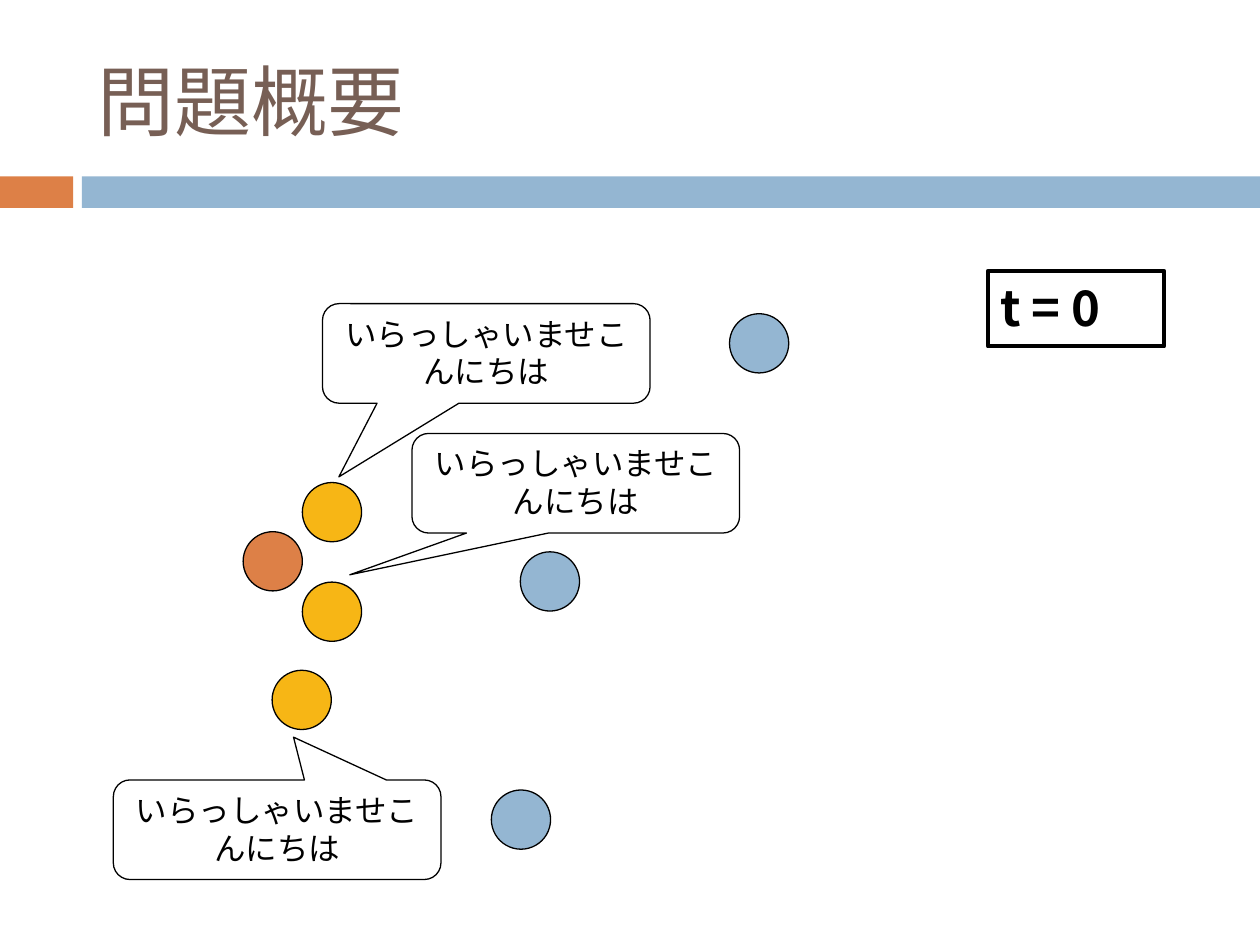
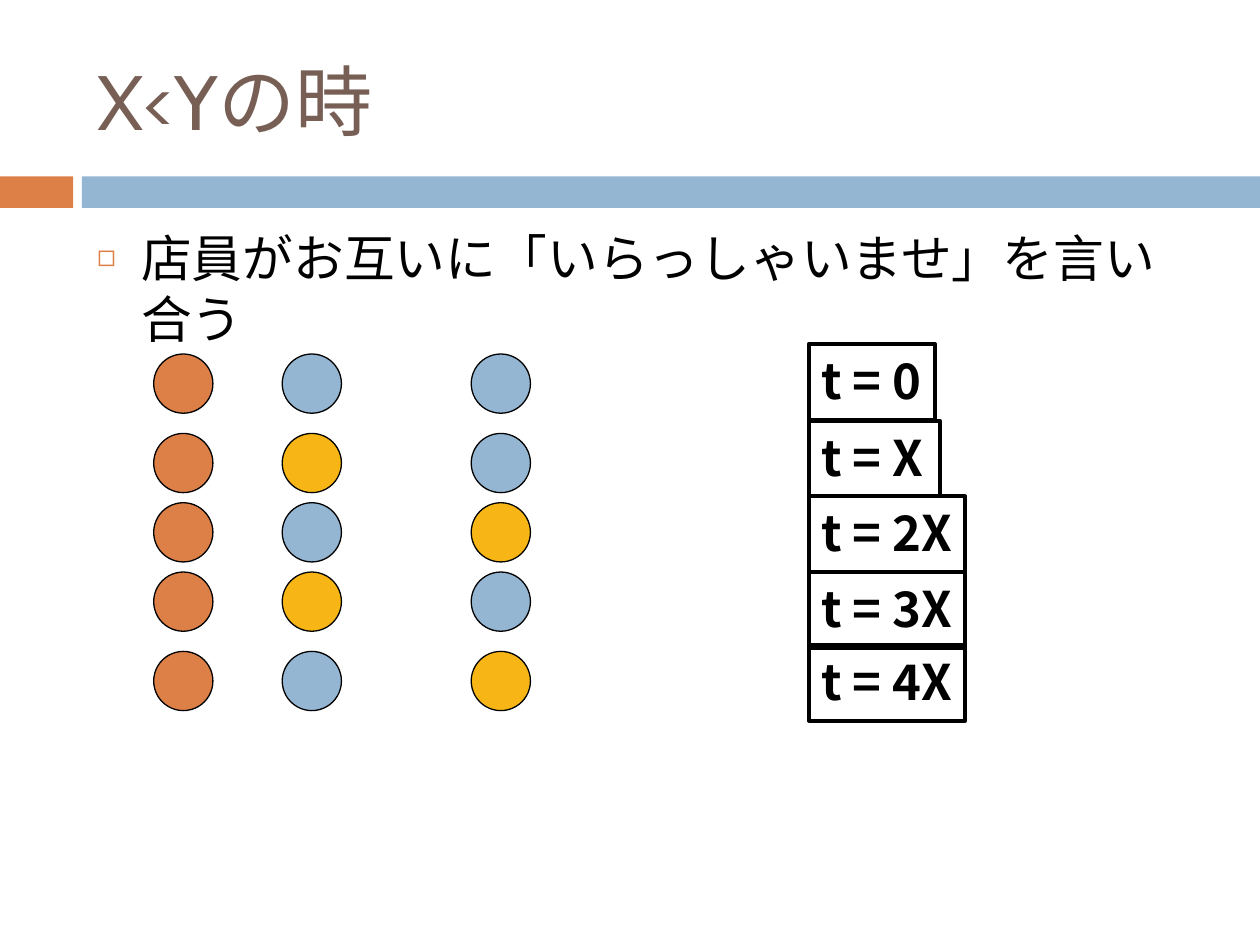
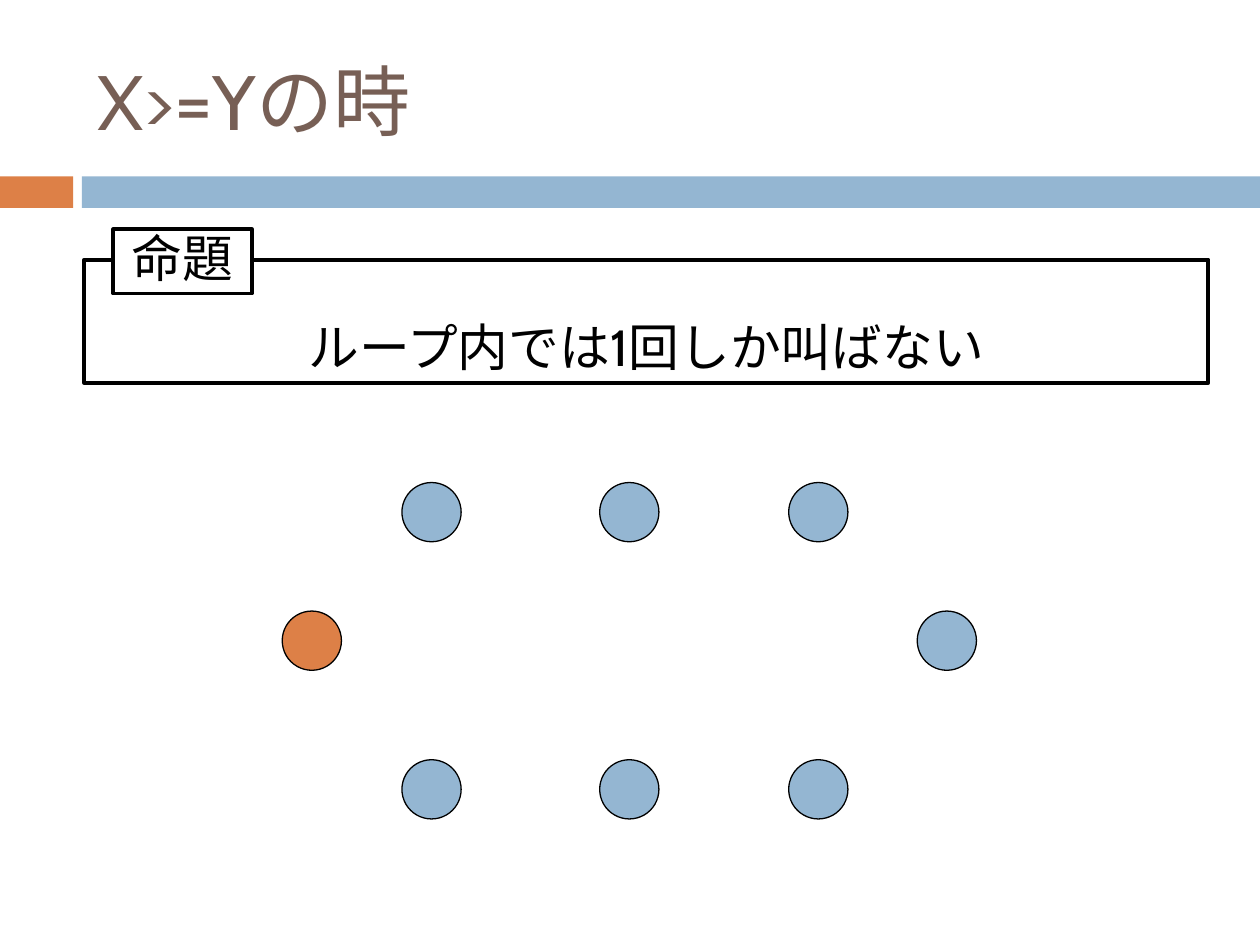
from dataclasses import dataclass

from lxml import etree
from pptx import Presentation
from pptx.dml.color import RGBColor
from pptx.enum.shapes import MSO_SHAPE
from pptx.enum.text import MSO_ANCHOR, MSO_AUTO_SIZE, PP_ALIGN
from pptx.oxml.ns import qn
from pptx.util import Inches, Pt

RECT, CIRCLE = MSO_SHAPE.RECTANGLE, MSO_SHAPE.OVAL
CALLOUT = MSO_SHAPE.ROUNDED_RECTANGULAR_CALLOUT
TOP, MIDDLE, BOTTOM = MSO_ANCHOR.TOP, MSO_ANCHOR.MIDDLE, MSO_ANCHOR.BOTTOM
LEFT, CENTER = PP_ALIGN.LEFT, PP_ALIGN.CENTER
GROW = MSO_AUTO_SIZE.SHAPE_TO_FIT_TEXT
TITLE_AND_BODY, TITLE_ONLY = 1, 5


@dataclass(frozen=True)
class Theme:
    """Colours, fonts, type sizes and line widths of the deck."""
    orange: str = "DD8047"
    blue: str = "94B6D2"
    yellow: str = "F7B615"
    brown: str = "775F55"
    black: str = "000000"
    white: str = "FFFFFF"
    heading_font: str = "Cabin"
    speech_font: str = "Arial"
    japanese_font: str = "Noto Sans CJK JP"
    title_size: int = 44
    body_size: int = 29
    clock_size: int = 28
    speech_size: int = 18
    space_before: int = 7
    thin: float = 0.75
    thick: float = 2.25


THEME = Theme()
DOT = 0.47


def add_figure(slide, kind, at, fill=None, line=None):
    """Add a flat shape at (left, top, width, height) in inches."""
    figure = slide.shapes.add_shape(kind, *[Inches(length) for length in at])
    figure.shadow.inherit = False
    if fill:
        figure.fill.solid()
        figure.fill.fore_color.rgb = RGBColor.from_string(fill)
    else:
        figure.fill.background()
    if line:
        figure.line.color.rgb = RGBColor.from_string(THEME.black)
        figure.line.width = Pt(line)
    else:
        figure.line.fill.background()
    return figure


def write(figure, text, size, font, color=THEME.black, align=LEFT, anchor=TOP, bold=False):
    """Put one formatted paragraph into a shape and return it."""
    frame = figure.text_frame
    frame.text = text
    frame.vertical_anchor = anchor
    paragraph = frame.paragraphs[0]
    paragraph.alignment = align
    for run in paragraph.runs:
        run.font.size, run.font.name, run.font.bold = Pt(size), font, bold
        run.font.color.rgb = RGBColor.from_string(color)
        east_asian = etree.SubElement(run._r.get_or_add_rPr(), qn("a:ea"))
        east_asian.set("typeface", THEME.japanese_font)
    return paragraph


prs = Presentation()
prs.slide_width, prs.slide_height = Inches(10), Inches(7.5)

# Shared title and body places, inherited from the master
master = prs.slide_master
for placeholder, top, height in zip(master.placeholders, (0.25, 1.75), (1.08, 4.92)):
    placeholder.left, placeholder.width = Inches(0.67), Inches(8.92)
    placeholder.top, placeholder.height = Inches(top), Inches(height)

slides = []
for title, layout in (("問題概要", TITLE_ONLY), ("X<Yの時", TITLE_AND_BODY), ("X>=Yの時", TITLE_ONLY)):
    slide = prs.slides.add_slide(prs.slide_layouts[layout])
    write(slide.shapes.title, title, THEME.title_size, THEME.heading_font, THEME.brown, anchor=MIDDLE)
    slides.append(slide)
overview, x_smaller, x_larger = slides

# Shared bands, moved to the back of the master
for left, width, color in ((0, 0.58, THEME.orange), (0.65, 9.35, THEME.blue)):
    band = add_figure(overview, RECT, (left, 1.4, width, 0.25), color)
    master.element.cSld.spTree.insert(2, band.element)

# Slide 1: clerks calling out
for left, top, color in (
    (1.93, 4.22, THEME.orange),
    (5.79, 2.49, THEME.blue),
    (4.13, 4.38, THEME.blue),
    (3.9, 6.27, THEME.blue),
    (2.4, 3.83, THEME.yellow),
    (2.4, 4.62, THEME.yellow),
    (2.16, 5.32, THEME.yellow),
):
    add_figure(overview, CIRCLE, (left, top, DOT, DOT), color, THEME.thin)

for left, top, tip_x, tip_y in (
    (2.56, 2.41, -0.45, 1.24),
    (3.27, 3.44, -0.69, 0.92),
    (0.9, 6.19, 0.05, -0.93),
):
    greeting = add_figure(overview, CALLOUT, (left, top, 2.6, 0.79), THEME.white, THEME.thin)
    greeting.adjustments[0], greeting.adjustments[1] = tip_x, tip_y
    write(greeting, "いらっしゃいませこんにちは", THEME.speech_size, THEME.speech_font, align=CENTER)

# Slide 2: the call passing back and forth
statement = x_smaller.placeholders[1]
bullet = write(statement, "店員がお互いに「いらっしゃいませ」を言い合う",
               THEME.body_size, THEME.heading_font)
bullet.space_before = Pt(THEME.space_before)
bullet_format = bullet._p.get_or_add_pPr()
bullet_format.set("marL", str(Inches(0.35)))
bullet_format.set("indent", str(-Inches(0.35)))
bullet_color = etree.SubElement(bullet_format, qn("a:buClr"))
etree.SubElement(bullet_color, qn("a:srgbClr")).set("val", THEME.orange)
etree.SubElement(bullet_format, qn("a:buSzPct")).set("val", "60000")
etree.SubElement(bullet_format, qn("a:buChar")).set("char", "◻")

quiet, near, far = (
    (THEME.orange, THEME.blue, THEME.blue),
    (THEME.orange, THEME.yellow, THEME.blue),
    (THEME.orange, THEME.blue, THEME.yellow),
)
for top, colors in zip((2.81, 3.44, 3.99, 4.54, 5.17), (quiet, near, far, near, far)):
    for left, color in zip((1.22, 2.24, 3.74), colors):
        add_figure(x_smaller, CIRCLE, (left, top, DOT, DOT), color, THEME.thin)

# Clocks of slides 1 and 2
for slide, time, left, top, width in (
    (overview, "t = 0 ", 7.84, 2.15, 1.4),
    (x_smaller, "t = 0", 6.42, 2.73, 1),
    (x_smaller, "t = X", 6.42, 3.34, 1.04),
    (x_smaller, "t = 2X", 6.42, 3.94, 1.24),
    (x_smaller, "t = 3X", 6.42, 4.54, 1.24),
    (x_smaller, "t = 4X", 6.42, 5.12, 1.24),
):
    clock = add_figure(slide, RECT, (left, top, width, 0.6), line=THEME.thick)
    write(clock, time, THEME.clock_size, THEME.japanese_font, bold=True)
    clock.text_frame.word_wrap = False
    clock.text_frame.auto_size = GROW

# Slide 3: a loop of clerks and the proposition about it
loop = [(left, top) for top in (3.83, 6.03) for left in (3.19, 4.76, 6.26)] + [(7.28, 4.85)]
add_figure(x_larger, CIRCLE, (2.24, 4.85, DOT, DOT), THEME.orange, THEME.thin)
for left, top in loop:
    add_figure(x_larger, CIRCLE, (left, top, DOT, DOT), THEME.blue, THEME.thin)

for text, at in (
    ("ループ内では1回しか叫ばない", (0.67, 2.06, 8.92, 0.98)),
    ("命題", (0.9, 1.82, 1.1, 0.51)),
):
    panel = add_figure(x_larger, RECT, at, THEME.white, THEME.thick)
    line = write(panel, text, THEME.body_size, THEME.heading_font, align=CENTER, anchor=BOTTOM)
    line.space_before = Pt(THEME.space_before)

prs.save("out.pptx")
